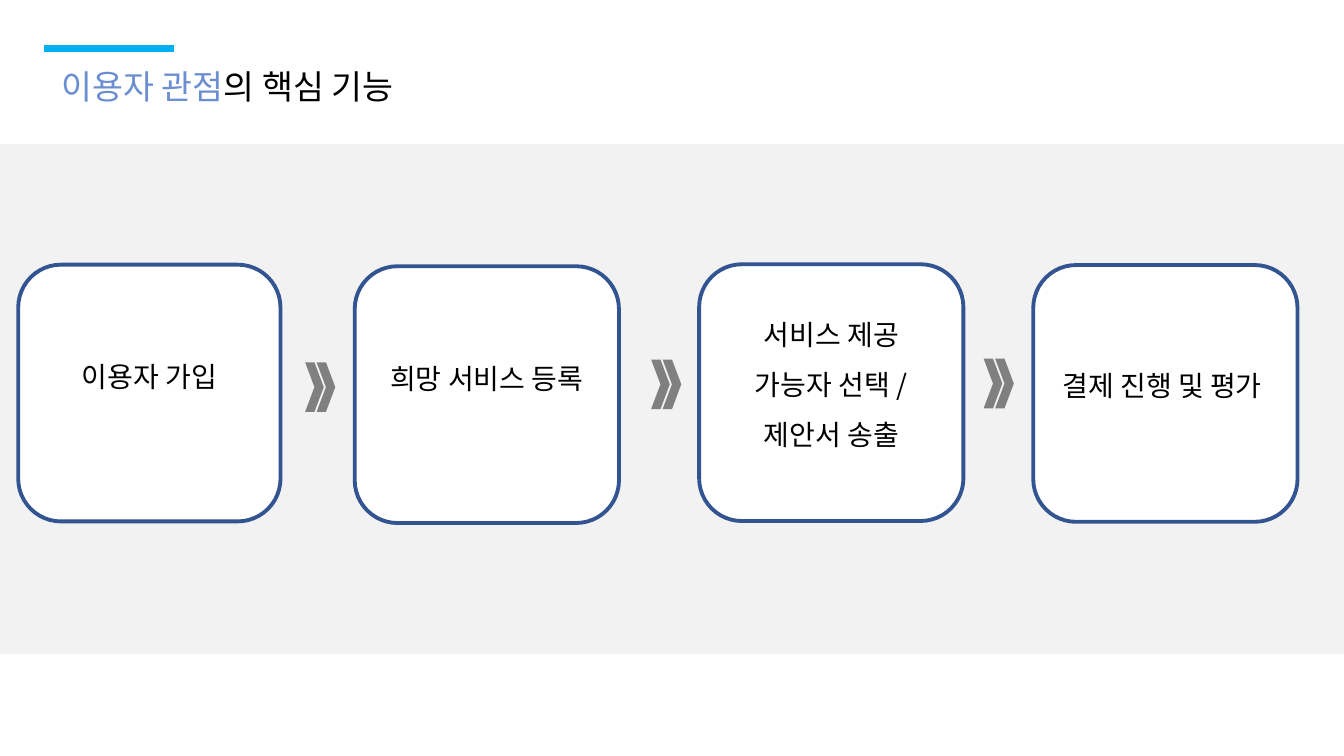
"""Builds the slide on the core functions from the user's point of view."""
from pptx import Presentation
from pptx import util as u
from pptx.dml.color import RGBColor
from pptx.enum import shapes, text
from pptx.oxml.ns import qn
from lxml import etree

BLACK = RGBColor(0x00, 0x00, 0x00)
WHITE = RGBColor(0xFF, 0xFF, 0xFF)
BAND_GRAY = RGBColor(0xF2, 0xF2, 0xF2)
ARROW_GRAY = RGBColor(0x80, 0x80, 0x80)
ACCENT = RGBColor(0x00, 0xB0, 0xF0)
TITLE_BLUE = RGBColor(0x6A, 0x8E, 0xD0)
BORDER_BLUE = RGBColor(0x32, 0x54, 0x91)


class FlowSlide:
    font = "Noto Sans CJK KR"

    def __init__(self, deck):
        self.slide = deck.slides.add_slide(deck.slide_layouts[5])

    def style_run(self, run, size, color):
        run.font.size = u.Pt(size)
        run.font.color.rgb = color
        run.font.name = self.font
        east_asian = etree.SubElement(run.font._element, qn("a:ea"))
        east_asian.set("typeface", self.font)

    def title(self, parts, left, top, width, height):
        heading = self.slide.shapes.title
        heading.left, heading.top = u.Cm(left), u.Cm(top)
        heading.width, heading.height = u.Cm(width), u.Cm(height)
        frame = heading.text_frame
        frame.vertical_anchor = text.MSO_ANCHOR.TOP
        frame.auto_size = text.MSO_AUTO_SIZE.NONE
        paragraph = frame.paragraphs[0]
        paragraph.alignment = text.PP_ALIGN.LEFT
        for words, color in parts:
            run = paragraph.add_run()
            run.text = words
            self.style_run(run, 24, color)

    def shape(self, kind, left, top, width, height, fill):
        figure = self.slide.shapes.add_shape(
            kind, u.Cm(left), u.Cm(top), u.Cm(width), u.Cm(height))
        figure.shadow.inherit = False
        figure.fill.solid()
        figure.fill.fore_color.rgb = fill
        figure.line.fill.background()
        return figure

    def accent_line(self, left, top, length):
        accent = self.slide.shapes.add_connector(
            shapes.MSO_CONNECTOR.STRAIGHT,
            u.Cm(left), u.Cm(top), u.Cm(left + length), u.Cm(top))
        accent.line.color.rgb = ACCENT
        accent.line.width = u.Pt(5)
        etree.SubElement(accent._element.spPr, qn("a:effectLst"))

    def step(self, words, left, top, width, spacing):
        box = self.shape(shapes.MSO_SHAPE.ROUNDED_RECTANGLE,
                         left, top, width, 6.47, WHITE)
        box.line.color.rgb = BORDER_BLUE
        box.line.width = u.Pt(2.75)
        frame = box.text_frame
        paragraph = frame.paragraphs[0]
        paragraph.text = words
        frame.word_wrap = True
        frame.vertical_anchor = text.MSO_ANCHOR.MIDDLE
        frame.margin_bottom = u.Cm(0.97)
        paragraph.alignment = text.PP_ALIGN.CENTER
        paragraph.line_spacing = spacing
        for run in paragraph.runs:
            self.style_run(run, 20, BLACK)

    def double_arrow(self, left, top):
        for offset in (0, 0.29):
            self.shape(shapes.MSO_SHAPE.CHEVRON,
                       left + offset, top, 0.47, 1.25, ARROW_GRAY)


def main():
    deck = Presentation()
    deck.slide_width, deck.slide_height = u.Cm(33.87), u.Cm(19.05)
    flow = FlowSlide(deck)
    flow.title([("이용자 관점", TITLE_BLUE), ("의 핵심 기능", BLACK)],
               1.3, 1.53, 11.46, 1.27)
    flow.shape(shapes.MSO_SHAPE.RECTANGLE, 0, 3.63, 33.87, 12.85, BAND_GRAY)
    flow.accent_line(1.12, 1.22, 3.27)
    for left, top in ((7.69, 9.13), (16.41, 9.06), (24.79, 9.04)):
        flow.double_arrow(left, top)
    steps = (("이용자 가입", 0.46, 6.67, 6.61, 1.0),
             ("희망 서비스 등록", 8.94, 6.71, 6.66, 1.0),
             ("서비스 제공\v가능자 선택 /\v제안서 송출", 17.62, 6.66, 6.66, 1.5),
             ("결제 진행 및 평가 ", 26.04, 6.68, 6.66, 1.5))
    for words, left, top, width, spacing in steps:
        flow.step(words, left, top, width, spacing)
    deck.save("out.pptx")


if __name__ == "__main__":
    main()
